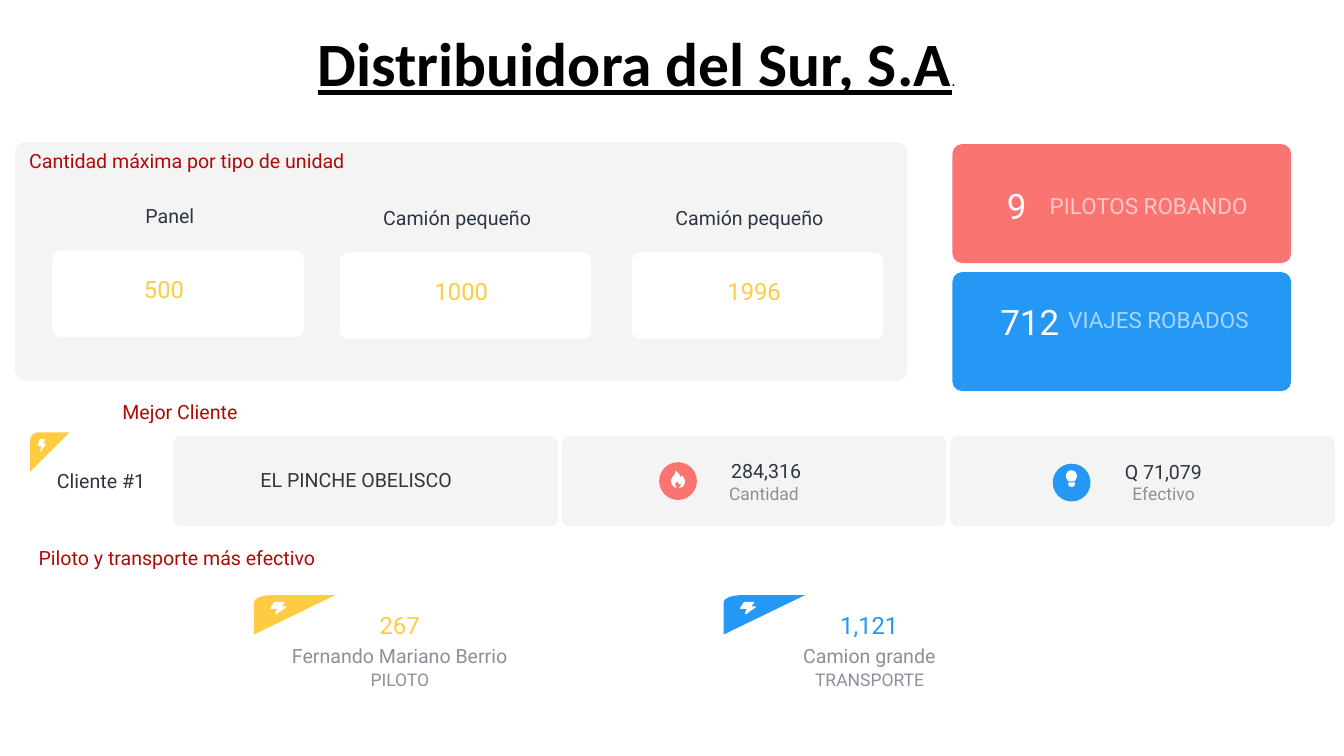
import pptx
import pptx.dml.color
import pptx.enum.shapes
import pptx.enum.text
import pptx.util
from dataclasses import dataclass

PX = 9144  # EMU per px, 100 px to the inch
SHAPE = pptx.enum.shapes.MSO_SHAPE
ALIGN = pptx.enum.text.PP_ALIGN
ANCHOR = pptx.enum.text.MSO_ANCHOR


@dataclass(frozen=True)
class Theme:
    font: str = "Roboto"
    title_font: str = "Calibri"
    panel: str = "F4F4F5"
    white: str = "FFFFFF"
    black: str = "000000"
    ink: str = "2D3640"
    grey: str = "8B909B"
    heading: str = "AF0B06"
    yellow: str = "FECC42"
    red: str = "FA7571"
    pale_red: str = "FDC8C6"
    blue: str = "2598F5"
    pale_blue: str = "A8D6FB"
    title_size: int = 88
    dot_size: int = 18
    kpi_size: int = 50
    number_size: int = 34
    kpi_label_size: int = 32
    body_size: int = 28
    small_size: int = 25


THEME = Theme()

# Icon outlines in px from the icon's top left corner
RIBBON = [(78, 0), (23, 0), (15, 0), (10, 1), (5, 4), (1, 9), (0, 15), (0, 22), (0, 78)]
BOLT = [(6, 25), (5, 24), (7, 14), (1, 14), (0, 13), (4, 1), (5, 0), (13, 0),
        (14, 2), (11, 9), (15, 9), (16, 10)]
FLAME = [(18, 23), (19, 28), (16, 31), (15, 32), (17, 33), (22, 31), (25, 28), (27, 23),
         (27, 18), (25, 13), (22, 9), (20, 9), (20, 10), (18, 12), (16, 6), (11, 0),
         (9, 0), (7, 6), (3, 11), (0, 17), (0, 22), (2, 27), (5, 31), (9, 33),
         (10, 32), (8, 27), (8, 24), (10, 22), (12, 20), (14, 23), (16, 26)]
BULB = [(5, 22), (3, 19), (1, 16), (0, 11), (1, 7), (3, 3), (7, 1), (11, 0), (15, 1),
        (19, 3), (21, 7), (22, 11), (21, 16), (19, 19), (18, 22)]
BULB_BASE = [(5, 24), (18, 24), (18, 29), (16, 32), (12, 33), (7, 32), (5, 29)]


def color(value):
    return pptx.dml.color.RGBColor.from_string(value)


def paint(shape, fill):
    shape.shadow.inherit = False
    shape.fill.solid()
    shape.fill.fore_color.rgb = color(fill)
    shape.line.fill.background()


def add_block(slide, kind, x, y, w, h, fill, corner=None):
    block = slide.shapes.add_shape(kind, x * PX, y * PX, w * PX, h * PX)
    if corner is not None:
        block.adjustments[0] = corner
    paint(block, fill)


def add_outline(slide, x, y, points, fill):
    builder = slide.shapes.build_freeform(*points[0], scale=PX)
    builder.add_line_segments(points[1:], close=True)
    paint(builder.convert_to_shape(x * PX, y * PX), fill)


def style(run, size, ink, font=THEME.font):
    run.font.size = pptx.util.Pt(size)
    run.font.name = font
    run.font.color.rgb = color(ink)


def add_text(slide, x, y, w, h, text, size, ink, align=ALIGN.CENTER):
    frame = slide.shapes.add_textbox(x * PX, y * PX, w * PX, h * PX).text_frame
    frame.word_wrap = True
    frame.margin_left = frame.margin_right = 6 * PX
    frame.margin_top = frame.margin_bottom = 6 * PX
    frame.text = text
    frame.paragraphs[0].alignment = align
    style(frame.paragraphs[0].runs[0], size, ink)
    return frame


def add_title(slide, x, y, w, h):
    frame = add_text(slide, x, y, w, h, "Distribuidora del Sur, S.A", THEME.title_size, THEME.black)
    frame.vertical_anchor = ANCHOR.MIDDLE
    name = frame.paragraphs[0].runs[0]
    style(name, THEME.title_size, THEME.black, THEME.title_font)
    name.font.underline = True
    dot = frame.paragraphs[0].add_run()
    dot.text = "."
    style(dot, THEME.dot_size, THEME.black, THEME.title_font)
    name.font.bold = dot.font.bold = True


def add_heading(slide, x, y, w, text):
    add_text(slide, x, y, w, 58, text, THEME.body_size, THEME.heading)


def add_ribbon(slide, x, y, w, fill):
    """Corner ribbon with a bolt, stretched to the width w."""
    def stretch(points):
        return [(round(px * w / 78), py) for px, py in points]

    add_outline(slide, x, y, stretch(RIBBON), fill)
    add_outline(slide, x + w // 5, y + 13, stretch(BOLT), THEME.white)


def add_unit_card(slide, x, y, unit, amount, amount_x):
    add_block(slide, SHAPE.ROUNDED_RECTANGLE, x, y, 499, 172, THEME.white, 0.1)
    add_text(slide, x + 21, y - 98, 424, 58, unit, THEME.body_size, THEME.ink)
    add_text(slide, x + amount_x, y + 43, 271, 68, amount, THEME.number_size, THEME.yellow)


def add_units_panel(slide, x, y, w, h):
    add_block(slide, SHAPE.ROUNDED_RECTANGLE, x, y, w, h, THEME.panel, 0.04)
    add_heading(slide, x - 24, y + 7, 729, "Cantidad máxima por tipo de unidad")
    for card_x, card_y, unit, amount, amount_x in (
        (74, 215, "Panel", "500", 86),
        (644, 219, "Camión pequeño", "1000", 106),
        (1224, 219, "Camión pequeño", "1996", 107),
    ):
        add_unit_card(slide, x + card_x, y + card_y, unit, amount, amount_x)


def add_kpi(slide, x, y, fill, number, number_at, label, label_at, label_ink):
    add_block(slide, SHAPE.ROUNDED_RECTANGLE, x, y, 672, 236, fill, 0.08)
    add_text(slide, x + number_at[0], y + number_at[1], 167, 95, number,
             THEME.kpi_size, THEME.white, ALIGN.LEFT)
    add_text(slide, x + label_at[0], y + label_at[1], 409, 65, label,
             THEME.kpi_label_size, label_ink, ALIGN.LEFT)


def add_metric(slide, x, y, fill, icon, icon_at, value, label, label_x):
    """Round icon with a value and its label; icon is a list of outlines."""
    add_block(slide, SHAPE.OVAL, x, y, 75, 75, fill)
    for outline in icon:
        add_outline(slide, x + icon_at[0], y + icon_at[1], outline, THEME.white)
    add_text(slide, x + 137, y - 13, 239, 58, value, THEME.body_size, THEME.ink, ALIGN.LEFT)
    add_text(slide, x + label_x, 952, 544, 53, label, THEME.small_size, THEME.grey)


def add_best_client(slide, x, y):
    add_heading(slide, x - 48, y - 70, 690, "Mejor Cliente")
    add_text(slide, x + 21, y + 66, 239, 58, "Cliente #1", THEME.body_size, THEME.ink)
    add_ribbon(slide, x, y, 78, THEME.yellow)
    for column in range(3):
        add_block(slide, SHAPE.ROUNDED_RECTANGLE, x + 284 + column * 771, y + 7, 763, 179,
                  THEME.panel, 0.08)
    add_text(slide, x + 451, y + 64, 523, 58, "EL PINCHE OBELISCO",
             THEME.body_size, THEME.ink, ALIGN.LEFT)
    add_metric(slide, x + 1248, y + 59, THEME.red, [FLAME], (24, 18),
               "284,316", "Cantidad", -64)
    add_metric(slide, x + 2029, y + 62, THEME.blue, [BULB, BULB_BASE], (26, 13),
               "Q 71,079", "Efectivo", -52)


def add_top_performer(slide, x, y, fill, trips, name, role):
    add_text(slide, x + 43, y + 90, 492, 58, name, THEME.body_size, THEME.grey)
    add_text(slide, x, y + 141, 579, 53, role, THEME.small_size, THEME.grey)
    add_text(slide, x + 43, y + 25, 492, 68, trips, THEME.number_size, fill)
    add_ribbon(slide, x, y, 161, fill)


def main():
    deck = pptx.Presentation()
    deck.slide_width, deck.slide_height = 2667 * PX, 1500 * PX
    slide = deck.slides.add_slide(deck.slide_layouts[6])

    add_title(slide, 437, 43, 1652, 159)
    add_units_panel(slide, 30, 282, 1770, 473)

    # Theft indicators
    add_kpi(slide, 1890, 286, THEME.red, "9", (102, 74),
            "PILOTOS ROBANDO", (187, 89), THEME.pale_red)
    add_kpi(slide, 1890, 540, THEME.blue, "712", (89, 50),
            "VIAJES ROBADOS", (224, 62), THEME.pale_blue)

    add_best_client(slide, 60, 858)

    # Most effective driver and vehicle
    add_heading(slide, 6, 1077, 690, "Piloto y transporte más efectivo")
    add_top_performer(slide, 504, 1181, THEME.yellow, "267", "Fernando Mariano Berrio", "PILOTO")
    add_top_performer(slide, 1436, 1181, THEME.blue, "1,121", "Camion grande", "TRANSPORTE")

    deck.save("out.pptx")


if __name__ == "__main__":
    main()
